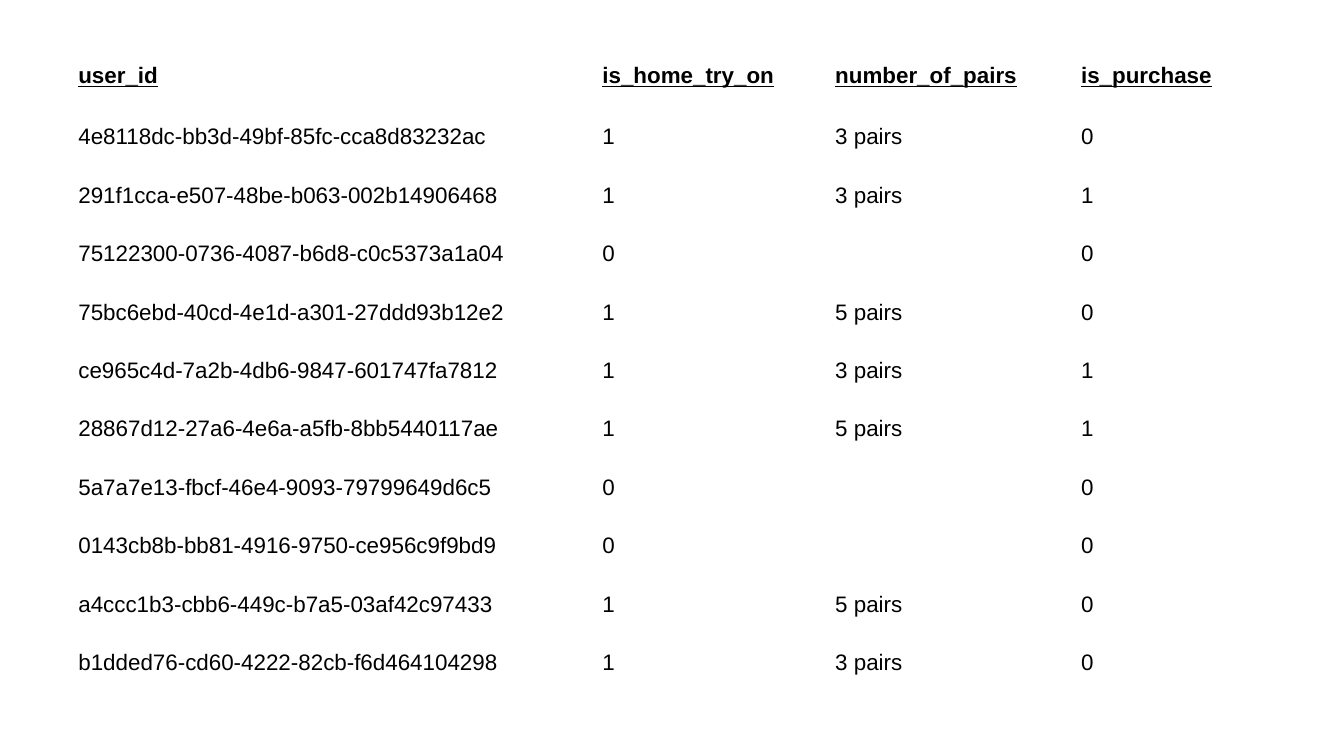
"""Build a slide with a table of users, home try-ons and purchases."""
import pptx
import pptx.dml.color
import pptx.enum.text
import pptx.util

Pt = pptx.util.Pt
BLACK = pptx.dml.color.RGBColor(0x00, 0x00, 0x00)

HEADER = ("user_id", "is_home_try_on", "number_of_pairs", "is_purchase")
USERS = [
    ("4e8118dc-bb3d-49bf-85fc-cca8d83232ac", "1", "3 pairs", "0"),
    ("291f1cca-e507-48be-b063-002b14906468", "1", "3 pairs", "1"),
    ("75122300-0736-4087-b6d8-c0c5373a1a04", "0", "", "0"),
    ("75bc6ebd-40cd-4e1d-a301-27ddd93b12e2", "1", "5 pairs", "0"),
    ("ce965c4d-7a2b-4db6-9847-601747fa7812", "1", "3 pairs", "1"),
    ("28867d12-27a6-4e6a-a5fb-8bb5440117ae", "1", "5 pairs", "1"),
    ("5a7a7e13-fbcf-46e4-9093-79799649d6c5", "0", "", "0"),
    ("0143cb8b-bb81-4916-9750-ce956c9f9bd9", "0", "", "0"),
    ("a4ccc1b3-cbb6-449c-b7a5-03af42c97433", "1", "5 pairs", "0"),
    ("b1dded76-cd60-4222-82cb-f6d464104298", "1", "3 pairs", "0"),
]


def write(tf, text, font="Arial", size=12, color=BLACK, bold=False, underline=False):
    p = tf.paragraphs[0]
    p.font.size = Pt(size)
    if text:
        r = p.add_run()
        r.text = text
        r.font.name = font
        r.font.size = Pt(size)
        r.font.color.rgb = color
        r.font.bold = bold
        r.font.underline = underline


class Deck:
    def __init__(self, width, height, font="Arial", size=12):
        self.font, self.size = font, size
        self.prs = pptx.Presentation()
        self.prs.slide_width, self.prs.slide_height = Pt(width), Pt(height)
        self.s = self.prs.slides.add_slide(self.prs.slide_layouts[6])

    def table(self, left, top, widths, heights, rows):
        sp = self.s.shapes.add_table(
            len(rows), len(widths), Pt(left), Pt(top), Pt(sum(widths)), Pt(sum(heights)))
        table = sp.table
        table.first_row = table.horz_banding = False
        for column, width in zip(table.columns, widths):
            column.width = Pt(width)
        for i, (row, height, texts) in enumerate(zip(table.rows, heights, rows)):
            row.height = Pt(height)
            for cell, text in zip(row.cells, texts):
                self.cell(cell, text, header=i == 0)

    def cell(self, cell, text, header):
        cell.fill.background()
        cell.vertical_anchor = pptx.enum.text.MSO_ANCHOR.MIDDLE
        cell.margin_left = cell.margin_right = Pt(4.5)
        cell.margin_top = cell.margin_bottom = Pt(2.25)
        write(cell.text_frame, text, font=self.font, size=self.size,
              bold=header, underline=header)


def main():
    deck = Deck(720, 405)
    deck.table(37.5, 23.75, (280.75, 124.75, 131.75, 97.25),
               [34] + [31.3] * len(USERS), [HEADER] + USERS)
    deck.prs.save("out.pptx")


if __name__ == "__main__":
    main()
